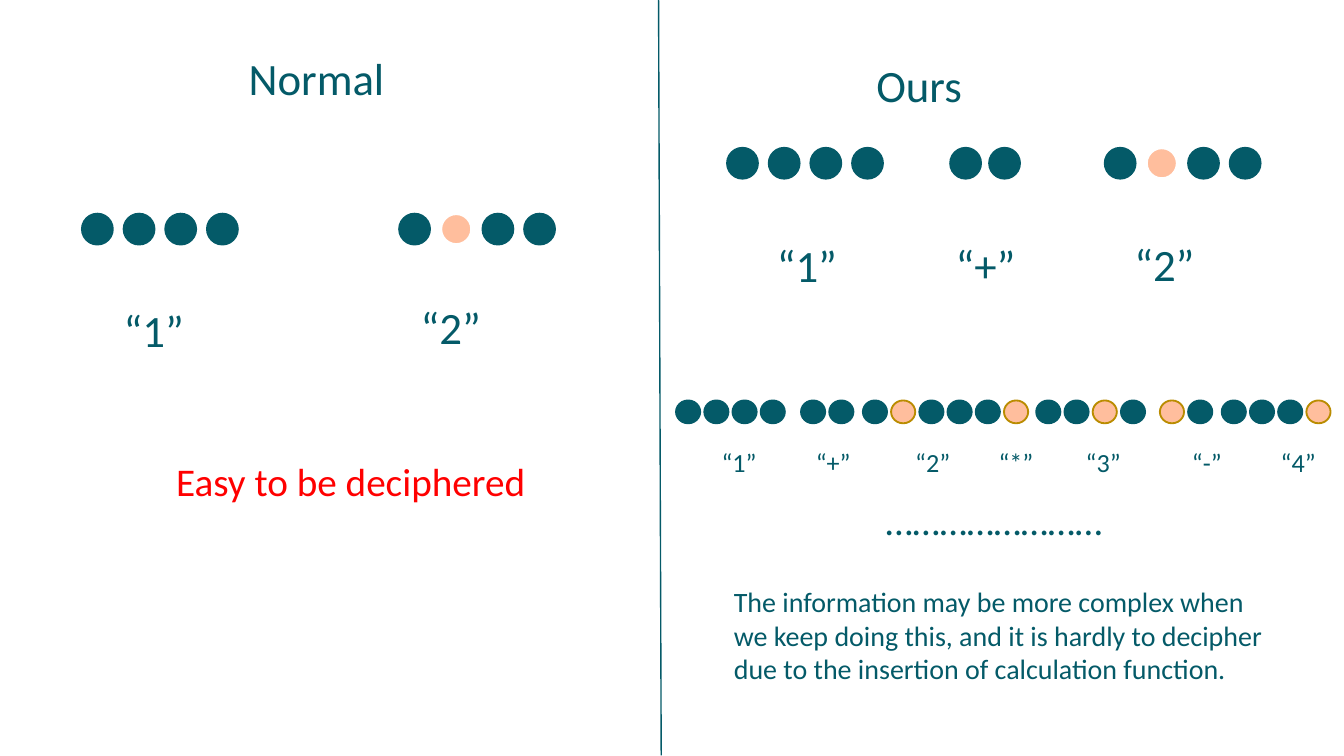
from dataclasses import dataclass

from lxml import etree
from pptx import Presentation
from pptx import util as u
from pptx.dml.color import RGBColor
from pptx.enum import shapes, text
from pptx.oxml import ns


@dataclass(frozen=True)
class Theme:
    font: str = "Calibri"
    teal: str = "045A68"
    peach: str = "FFBE9D"
    gold: str = "BA8C00"
    white: str = "FFFFFF"
    red: str = "FF0000"
    heading: float = 24
    remark: float = 21
    body: float = 15
    label: float = 14


THEME = Theme()
MARGIN = 0.07


def write_text(shape, content, *, size, color=THEME.teal):
    frame = shape.text_frame
    frame.word_wrap = True
    frame.auto_size = text.MSO_AUTO_SIZE.NONE
    frame.vertical_anchor = text.MSO_ANCHOR.TOP
    frame.margin_left = frame.margin_right = u.Inches(MARGIN)
    frame.margin_top = frame.margin_bottom = u.Inches(0.04)
    frame.text = content
    paragraph = frame.paragraphs[0]
    paragraph.alignment = text.PP_ALIGN.LEFT
    paragraph.space_before = u.Pt(0)
    font = paragraph.runs[0].font
    font.name, font.size, font.bold = THEME.font, u.Pt(size), False
    font.color.rgb = RGBColor.from_string(color)


class SlideBuilder:
    def __init__(self, slide, theme):
        self.slide = slide
        self.theme = theme

    def heading(self, placeholder_index, content, left, top, width):
        shape = self.slide.placeholders[placeholder_index]
        shape.left, shape.top = u.Inches(left), u.Inches(top)
        shape.width, shape.height = u.Inches(width), u.Inches(0.48)
        write_text(shape, content, size=self.theme.heading)

    def text_box(self, content, left, top, width, height, **text_format):
        box = self.slide.shapes.add_textbox(
            u.Inches(left), u.Inches(top), u.Inches(width), u.Inches(height))
        write_text(box, content, **text_format)
        return box

    def label_row(self, labels, centres, left, top, width, height):
        """Write labels on one line, each centred on a tab stop."""
        content = "".join("\t" + label for label in labels)
        box = self.text_box(content, left, top, width, height, size=self.theme.label)
        properties = box.text_frame.paragraphs[0]._p.get_or_add_pPr()
        tabs = etree.SubElement(properties, ns.qn("a:tabLst"))
        for centre in centres:
            position = u.Inches(centre - left - MARGIN)
            etree.SubElement(tabs, ns.qn("a:tab"), pos=str(int(position)), algn="ctr")

    def dots(self, pattern, left, top, *, pitch, width, height, accent_line, accent_width):
        """Draw a group of dots: ● is a plain dot, ○ an accent dot."""
        group = self.slide.shapes.add_group_shape()
        for position, symbol in enumerate(pattern):
            dot = group.shapes.add_shape(
                shapes.MSO_SHAPE.OVAL, u.Inches(left + position * pitch),
                u.Inches(top), u.Inches(width), u.Inches(height))
            accent = symbol == "○"
            fill = self.theme.peach if accent else self.theme.teal
            line = accent_line if accent else self.theme.teal
            dot.shadow.inherit = False
            dot.fill.solid()
            dot.fill.fore_color.rgb = RGBColor.from_string(fill)
            dot.line.color.rgb = RGBColor.from_string(line)
            dot.line.width = u.Pt(accent_width if accent else 1)

    def large_dots(self, pattern, left, top, pitch):
        self.dots(pattern, left, top, pitch=pitch, width=0.23, height=0.23,
                  accent_line=self.theme.white, accent_width=1.5)

    def small_dots(self, pattern, left, top):
        self.dots(pattern, left, top, pitch=0.21, width=0.18, height=0.17,
                  accent_line=self.theme.gold, accent_width=1)

    def line(self, start, end):
        connector = self.slide.shapes.add_connector(
            shapes.MSO_CONNECTOR.STRAIGHT, *map(u.Inches, start + end))
        connector.line.color.rgb = RGBColor.from_string(self.theme.teal)
        connector.line.width = u.Pt(0.75)
        etree.SubElement(connector._element.spPr, ns.qn("a:effectLst"))


def main():
    presentation = Presentation()
    presentation.slide_width = u.Inches(10)
    presentation.slide_height = u.Inches(10 * 9 / 16)
    comparison_layout = presentation.slide_layouts[4]
    slide = presentation.slides.add_slide(comparison_layout)
    builder = SlideBuilder(slide, THEME)

    builder.heading(1, "Normal", 1.78, 0.34, 2.78)
    builder.heading(3, "Ours", 6.45, 0.39, 3.05)
    for placeholder in list(slide.placeholders):
        if not placeholder.text_frame.text:
            placeholder._element.getparent().remove(placeholder._element)

    builder.line((4.9, 0), (4.92, 5.62))

    # Pattern, dots left, dots top, pitch, label, label left, label top, label width
    codes = [
        ("●●●●", 0.61, 1.59, 0.31, "“1”", 0.85, 2.21, 1.35),
        ("●○●●", 2.97, 1.59, 0.31, "“2”", 3.06, 2.19, 0.93),
        ("●●●●", 5.41, 1.1, 0.31, "“1”", 5.71, 1.73, 1.35),
        ("●○●●", 8.22, 1.1, 0.31, "“2”", 8.37, 1.72, 0.93),
        ("●●", 7.07, 1.1, 0.29, "“+”", 7.04, 1.73, 1.35),
    ]
    for pattern, left, top, pitch, label, label_left, label_top, label_width in codes:
        builder.large_dots(pattern, left, top, pitch)
        builder.text_box(label, label_left, label_top, label_width, 0.48, size=THEME.heading)

    builder.text_box("Easy to be deciphered", 1.24, 3.36, 2.78, 0.43,
                     size=THEME.remark, color=THEME.red)
    builder.text_box("……………………", 6.52, 3.65, 2.63, 0.43, size=THEME.remark)
    builder.text_box(
        "The information may be more complex when we keep doing this, and it is hardly "
        "to decipher due to the insertion of calculation function.",
        5.39, 4.31, 4.09, 0.83, size=THEME.body)

    # Pattern, dots left, label, label centre
    formula = [
        ("●●●●", 5.03, "“1”", 5.5),
        ("●●", 5.96, "“+”", 6.2),
        ("●○●●", 6.42, "“2”", 6.94),
        ("●○", 7.26, "“*”", 7.56),
        ("●●○●", 7.71, "“3”", 8.21),
        ("○●", 8.63, "“-”", 8.98),
        ("●●●○", 9.09, "“4”", 9.66),
    ]
    for pattern, left, _, _ in formula:
        builder.small_dots(pattern, left, 2.98)
    _, _, labels, centres = zip(*formula)
    builder.label_row(labels, centres, 5.03, 3.28, 4.87, 0.3)

    presentation.save("out.pptx")


if __name__ == "__main__":
    main()
